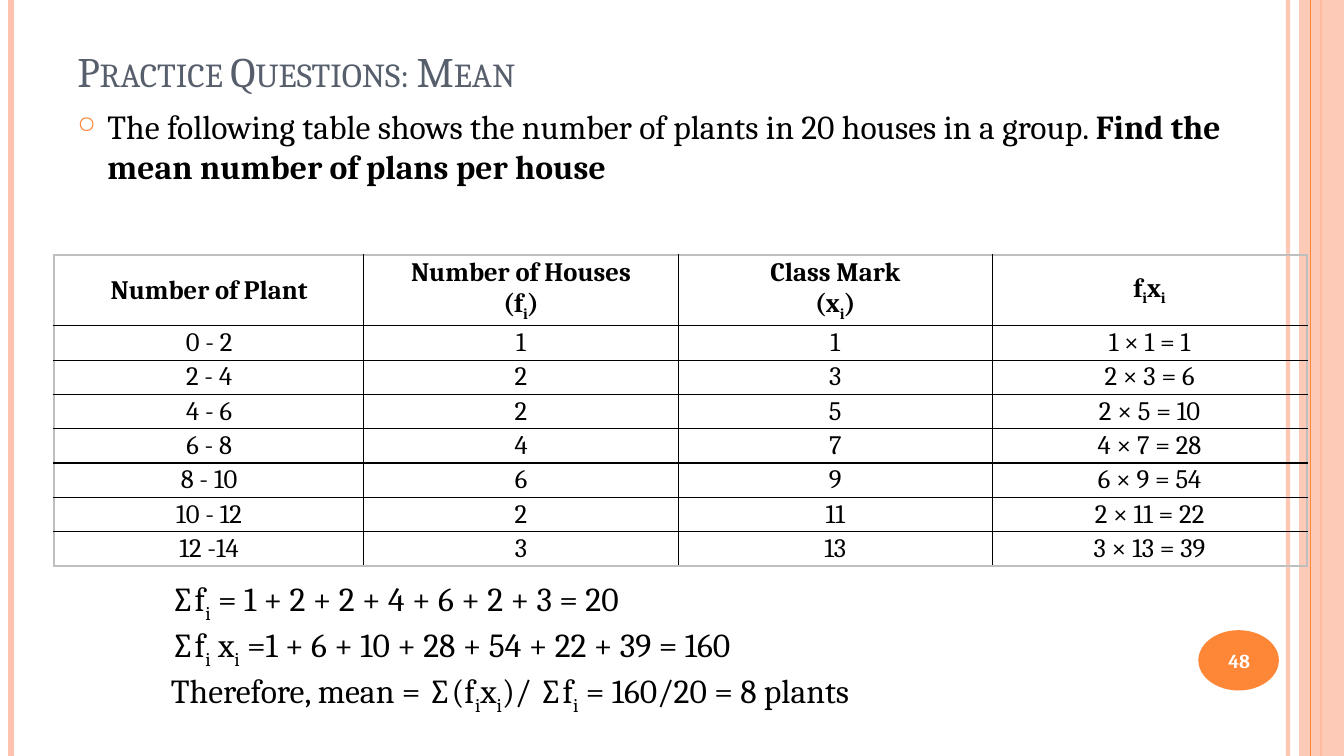
from lxml.etree import SubElement
from pptx import Presentation
from pptx.dml.color import RGBColor
from pptx.enum.shapes import MSO_CONNECTOR, MSO_SHAPE
from pptx.enum.text import MSO_ANCHOR, MSO_AUTO_SIZE, PP_ALIGN
from pptx.oxml import parse_xml
from pptx.oxml.ns import nsdecls, qn
from pptx.util import Cm, Pt

SLIDE_W, SLIDE_H = 33.87, 19.05
ORANGE = RGBColor(0xFE, 0x86, 0x37)
PEACH = RGBColor(0xFE, 0xC3, 0xAE)
SLATE = RGBColor(0x57, 0x5F, 0x6D)
GRAY = RGBColor(0xBF, 0xBF, 0xBF)
BLACK = RGBColor(0, 0, 0)
WHITE = RGBColor(0xFF, 0xFF, 0xFF)

HEADINGS = ["Number of Plant", "Number of Houses\n(f_i)", "Class Mark\n(x_i)", "f_ix_i"]
CLASSES = [("0 - 2", 1, 1), ("2 - 4", 2, 3), ("4 - 6", 2, 5), ("6 - 8", 4, 7),
           ("8 - 10", 6, 9), ("10 - 12", 2, 11), ("12 -14", 3, 13)]
SOLUTION = ("∑f_i = 1 + 2 + 2 + 4 + 6 + 2 + 3 = 20\n"
            "∑f_i x_i =1 + 6 + 10 + 28 + 54 + 22 + 39 = 160\n"
            "Therefore, mean = ∑(f_ix_i)/ ∑f_i = 160/20 = 8 plants")


class PracticeSlide:
    font_name = "Cambria"

    def __init__(self, slide):
        self.slide = slide

    def add_run(self, paragraph, text, size, color=BLACK, bold=False):
        run = paragraph.add_run()
        run.text = text
        formats = {"name": self.font_name, "size": Pt(size), "bold": bold}
        for attribute, value in formats.items():
            setattr(run.font, attribute, value)
        run.font.color.rgb = color
        return run

    def add_lines(self, frame, text, align=PP_ALIGN.LEFT, **style):
        """Add one paragraph per line; the letter after "_" is a subscript."""
        for number, line in enumerate(text.split("\n")):
            paragraph = frame.add_paragraph() if number else frame.paragraphs[0]
            paragraph.alignment = align
            first, *marked = line.split("_")
            self.add_run(paragraph, first, **style)
            for part in marked:
                subscript = self.add_run(paragraph, part[0], **style)
                subscript.font._element.set("baseline", "-25000")
                if part[1:]:
                    self.add_run(paragraph, part[1:], **style)

    def text_box(self, left, top, width, height, anchor=MSO_ANCHOR.TOP):
        frame = self.slide.shapes.add_textbox(
            Cm(left), Cm(top), Cm(width), Cm(height)).text_frame
        frame.word_wrap = True
        frame.vertical_anchor = anchor
        return frame

    def bullet(self, paragraph, char, color, percent, indent):
        properties = paragraph._p.get_or_add_pPr()
        properties.set("marL", str(Cm(indent)))
        properties.set("indent", str(-Cm(indent)))
        bullet_color = SubElement(properties, qn("a:buClr"))
        SubElement(bullet_color, qn("a:srgbClr"), val=str(color))
        SubElement(properties, qn("a:buSzPct"), val=str(percent * 1000))
        SubElement(properties, qn("a:buChar"), char=char)

    def set_opacity(self, element, percent):
        for color in element.iter(qn("a:srgbClr")):
            SubElement(color, qn("a:alpha"), val=str(percent * 1000))

    def stripe(self, x, color, weight, opacity=100):
        """Draw a vertical line over the full slide height."""
        line = self.slide.shapes.add_connector(
            MSO_CONNECTOR.STRAIGHT, Cm(x), 0, Cm(x), Cm(SLIDE_H))
        line.line.color.rgb = color
        line.line.width = Pt(weight)
        if opacity < 100:
            self.set_opacity(line._element.spPr, opacity)
        SubElement(line._element.spPr, qn("a:effectLst"))

    def plain_shape(self, kind, left, top, width, height, color, opacity=100):
        shape = self.slide.shapes.add_shape(
            kind, Cm(left), Cm(top), Cm(width), Cm(height))
        shape.shadow.inherit = False
        shape.fill.solid()
        shape.fill.fore_color.rgb = color
        shape.line.fill.background()
        if opacity < 100:
            self.set_opacity(shape._element.spPr, opacity)

    def cell_borders(self, cell, outer_sides):
        properties = cell._tc.get_or_add_tcPr()
        for position, side in enumerate("LRTB"):
            color, weight = (GRAY, 1.5) if side in outer_sides else (BLACK, 1)
            properties.insert(position, parse_xml(
                f'<a:ln{side} {nsdecls("a")} w="{Pt(weight)}"><a:solidFill>'
                f'<a:srgbClr val="{color}"/></a:solidFill></a:ln{side}>'))

    def table(self, left, top, widths, heights, rows):
        table = self.slide.shapes.add_table(
            len(rows), len(widths), Cm(left), Cm(top),
            Cm(sum(widths)), Cm(sum(heights))).table
        table.first_row = table.horz_banding = False
        for column, width in zip(table.columns, widths):
            column.width = Cm(width)
        cell_format = {"vertical_anchor": MSO_ANCHOR.MIDDLE}
        for side in ("left", "right", "top", "bottom"):
            cell_format[f"margin_{side}"] = Cm(0.03)
        for r, (row, height) in enumerate(zip(rows, heights)):
            table.rows[r].height = Cm(height)
            for c, text in enumerate(row):
                cell = table.cell(r, c)
                for attribute, value in cell_format.items():
                    setattr(cell, attribute, value)
                cell.fill.background()
                edges = {"L": c == 0, "R": c == len(widths) - 1,
                         "T": r == 0, "B": r == len(rows) - 1}
                self.cell_borders(cell, [s for s, outer in edges.items() if outer])
                self.add_lines(cell.text_frame, text, PP_ALIGN.CENTER, size=19, bold=r == 0)


def main():
    deck = Presentation()
    deck.slide_width, deck.slide_height = Cm(SLIDE_W), Cm(SLIDE_H)
    page = PracticeSlide(deck.slides.add_slide(deck.slide_layouts[6]))

    page.stripe(32.46, PEACH, 3, opacity=93)
    page.stripe(0.28, PEACH, 4.5)
    page.stripe(33.3, ORANGE, 1.5)
    page.plain_shape(MSO_SHAPE.RECTANGLE, 32.74, 0, 1.13, SLIDE_H, PEACH, opacity=87)
    page.stripe(33.02, ORANGE, 0.75)
    page.plain_shape(MSO_SHAPE.OVAL, 30.2, 15.88, 2.03, 1.52, ORANGE)

    title = page.text_box(1.7, 0.76, 27.66, 1.78, MSO_ANCHOR.BOTTOM)
    heading = page.add_run(title.paragraphs[0], "Practice Questions: Mean", 30, SLATE)
    heading.font._element.set("cap", "small")

    question = page.text_box(1.7, 2.54, 29.82, 15.44).paragraphs[0]
    page.bullet(question, "○", ORANGE, 70, 0.76)
    page.add_run(question, "The following table shows the number of plants "
                 "in 20 houses in a group. ", 24)
    page.add_run(question, "Find the mean number of plans per house", 24, bold=True)

    page_number = page.text_box(30.1, 15.93, 2.26, 1.45, MSO_ANCHOR.MIDDLE)
    page.add_lines(page_number, "48", PP_ALIGN.CENTER, size=14, color=WHITE, bold=True)

    rows = [HEADINGS] + [[plants, str(houses), str(mark), f"{houses} × {mark} = {houses * mark}"]
                         for plants, houses, mark in CLASSES]
    page.table(1.37, 6.43, [7.8] + [7.92] * 3, [1.65] + [0.86] * len(CLASSES), rows)

    solution = page.text_box(4.06, 14.45, 23.75, 3.33)
    solution.auto_size = MSO_AUTO_SIZE.SHAPE_TO_FIT_TEXT
    page.add_lines(solution, SOLUTION, size=24)

    deck.save("out.pptx")


if __name__ == "__main__":
    main()
